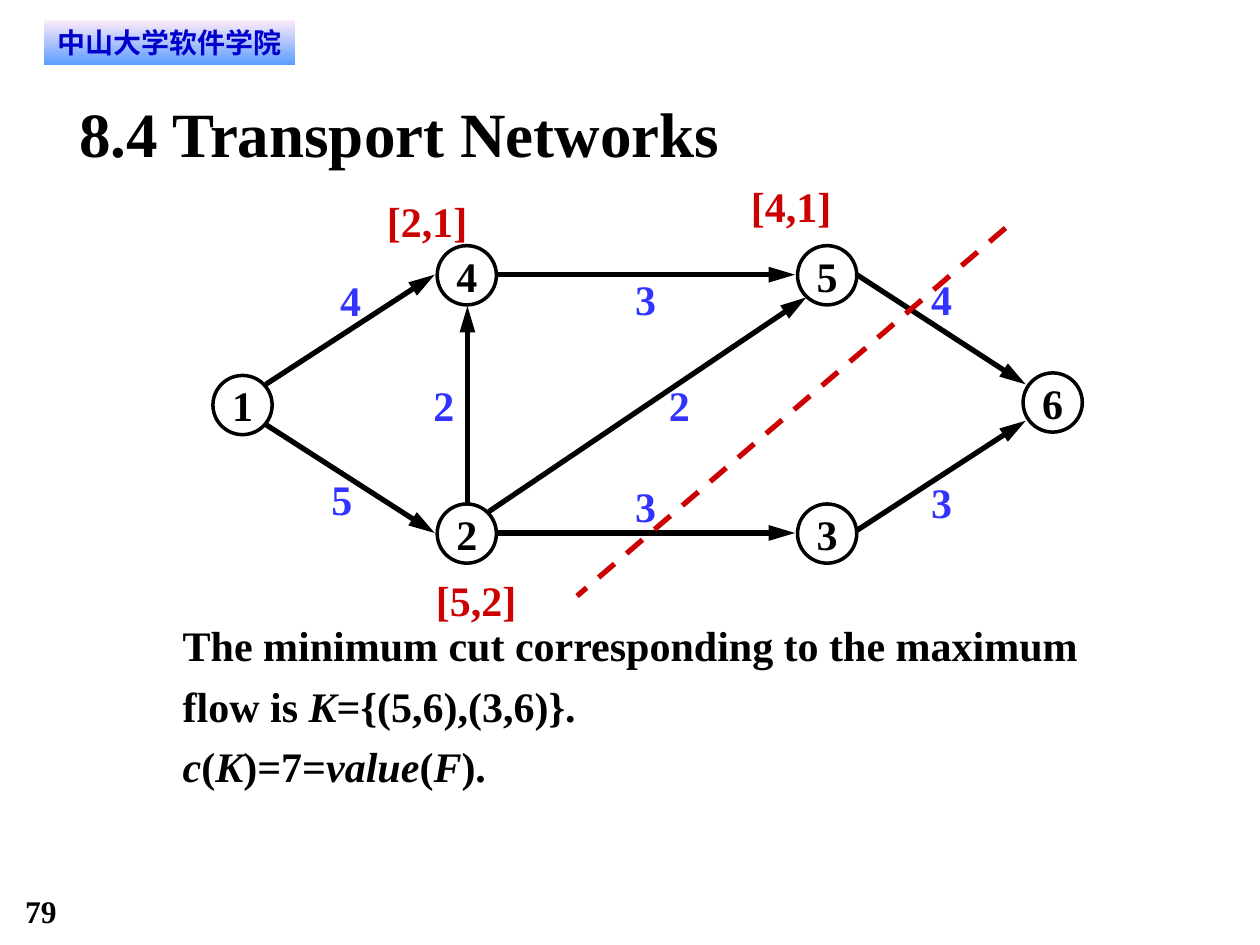
from pptx import Presentation
from pptx.dml.color import RGBColor
from pptx.enum.dml import MSO_LINE
from pptx.enum.shapes import MSO_CONNECTOR, MSO_SHAPE
from pptx.enum.text import MSO_ANCHOR, PP_ALIGN
from pptx.oxml.ns import qn
from pptx.util import Inches, Pt
from lxml.etree import SubElement

BLACK = RGBColor(0x00, 0x00, 0x00)
CAPACITY_BLUE = RGBColor(0x33, 0x33, 0xFF)
CUT_RED = RGBColor(0xCC, 0x00, 0x00)
BANNER_TEXT = RGBColor(0x00, 0x00, 0xCC)
BANNER_TOP = RGBColor(0xFF, 0xEB, 0xFA)
BANNER_BOTTOM = RGBColor(0x5E, 0x9E, 0xFF)
SERIF = "Times New Roman"
NODE_SIZE = 0.47


def write(shape, paragraphs, size=24, color=BLACK, font=SERIF, wrap=True):
    """Fill a shape with bold paragraphs; every second part of a paragraph is italic."""
    frame = shape.text_frame
    frame.word_wrap = wrap
    frame.margin_left = frame.margin_right = 0
    frame.margin_top = frame.margin_bottom = 0
    for index, parts in enumerate(paragraphs):
        paragraph = frame.add_paragraph() if index else frame.paragraphs[0]
        paragraph.font.size = Pt(size)
        paragraph.font.bold = True
        paragraph.font.name = font
        paragraph.font.color.rgb = color
        for position, part in enumerate(parts):
            if part:
                run = paragraph.add_run()
                run.text = part
                if position % 2:
                    run.font.italic = True
    return frame


def add_line(start, end, color):
    ends = [Inches(value) for value in (*start, *end)]
    connector = slide.shapes.add_connector(MSO_CONNECTOR.STRAIGHT, *ends)
    connector.line.color.rgb = color
    connector.line.width = Pt(3)
    SubElement(connector._element.spPr, qn("a:effectLst"))
    return connector.line


presentation = Presentation()
presentation.slide_width = Inches(10)
presentation.slide_height = Inches(7.5)
slide = presentation.slides.add_slide(presentation.slide_layouts[6])

# Banner, title and page number
banner = slide.shapes.add_shape(
    MSO_SHAPE.RECTANGLE, Inches(0.35), Inches(0.16), Inches(1.99), Inches(0.35))
banner.shadow.inherit = False
banner.fill.gradient()
banner.fill.gradient_angle = 270
for stop, color in zip(banner.fill.gradient_stops, (BANNER_TOP, BANNER_BOTTOM)):
    stop.color.rgb = color
banner.line.fill.background()
banner_frame = write(banner, [["中山大学软件学院"]], 16, BANNER_TEXT, "DejaVu Sans")
banner_frame.paragraphs[0].alignment = PP_ALIGN.CENTER

title = slide.shapes.add_textbox(Inches(0.63), Inches(0.75), Inches(8.75), Inches(0.6))
write(title, [["8.4 Transport Networks"]], 36)

page_number = slide.shapes.add_textbox(Inches(0.2), Inches(7.08), Inches(0.75), Inches(0.3))
write(page_number, [["79"]], 18)

# Conclusion below the network
conclusion = slide.shapes.add_textbox(Inches(1.45), Inches(4.84), Inches(7.61), Inches(1.44))
conclusion_frame = write(conclusion, [
    ["The minimum cut corresponding to the maximum flow is ", "K", "={(5,6),(3,6)}."],
    ["", "c", "(", "K", ")=7=", "value", "(", "F", ")."],
])
for paragraph in conclusion_frame.paragraphs:
    paragraph.line_spacing = 1.2

# Network nodes
nodes = {"1": (1.69, 2.98), "2": (3.47, 4), "3": (6.33, 4),
         "4": (3.47, 1.95), "5": (6.33, 1.95), "6": (8.12, 2.96)}
for name, (left, top) in nodes.items():
    node = slide.shapes.add_shape(
        MSO_SHAPE.OVAL, Inches(left), Inches(top), Inches(NODE_SIZE), Inches(NODE_SIZE))
    node.shadow.inherit = False
    node.fill.background()
    node.line.color.rgb = BLACK
    node.line.width = Pt(2)
    node_frame = write(node, [[name]], wrap=False)
    node_frame.vertical_anchor = MSO_ANCHOR.MIDDLE
    node_frame.paragraphs[0].alignment = PP_ALIGN.CENTER

# Edges: start, end, capacity, top left corner of the capacity label
edges = [
    ((2.11, 3.05), (3.45, 2.18), "4", (2.7, 2.18)),
    ((2.11, 3.37), (3.45, 4.23), "5", (2.63, 3.76)),
    ((3.71, 4.01), (3.71, 2.43), "2", (3.44, 3.01)),
    ((3.88, 4.06), (6.4, 2.36), "2", (5.31, 3.01)),
    ((3.95, 2.18), (6.31, 2.18), "3", (5.04, 2.17)),
    ((3.95, 4.23), (6.31, 4.23), "3", (5.04, 3.81)),
    ((6.8, 2.18), (8.14, 3.05), "4", (7.39, 2.17)),
    ((6.8, 4.21), (8.14, 3.34), "3", (7.39, 3.78)),
]
for start, end, capacity, (left, top) in edges:
    edge_line = add_line(start, end, BLACK)
    SubElement(edge_line._get_or_add_ln(), qn("a:tailEnd"), type="triangle", w="med", len="lg")
    label = slide.shapes.add_textbox(Inches(left), Inches(top), Inches(0.17), Inches(0.4))
    write(label, [[capacity]], color=CAPACITY_BLUE, wrap=False)

# Minimum cut and the node labels
cut_line = add_line((7.98, 1.81), (4.58, 4.73), CUT_RED)
cut_line.dash_style = MSO_LINE.DASH

for text, left, top in (("[2,1]", 3.07, 1.55), ("[4,1]", 5.96, 1.43), ("[5,2]", 3.46, 4.56)):
    label = slide.shapes.add_textbox(Inches(left), Inches(top), Inches(0.64), Inches(0.4))
    write(label, [[text]], color=CUT_RED, wrap=False)

presentation.save("out.pptx")
